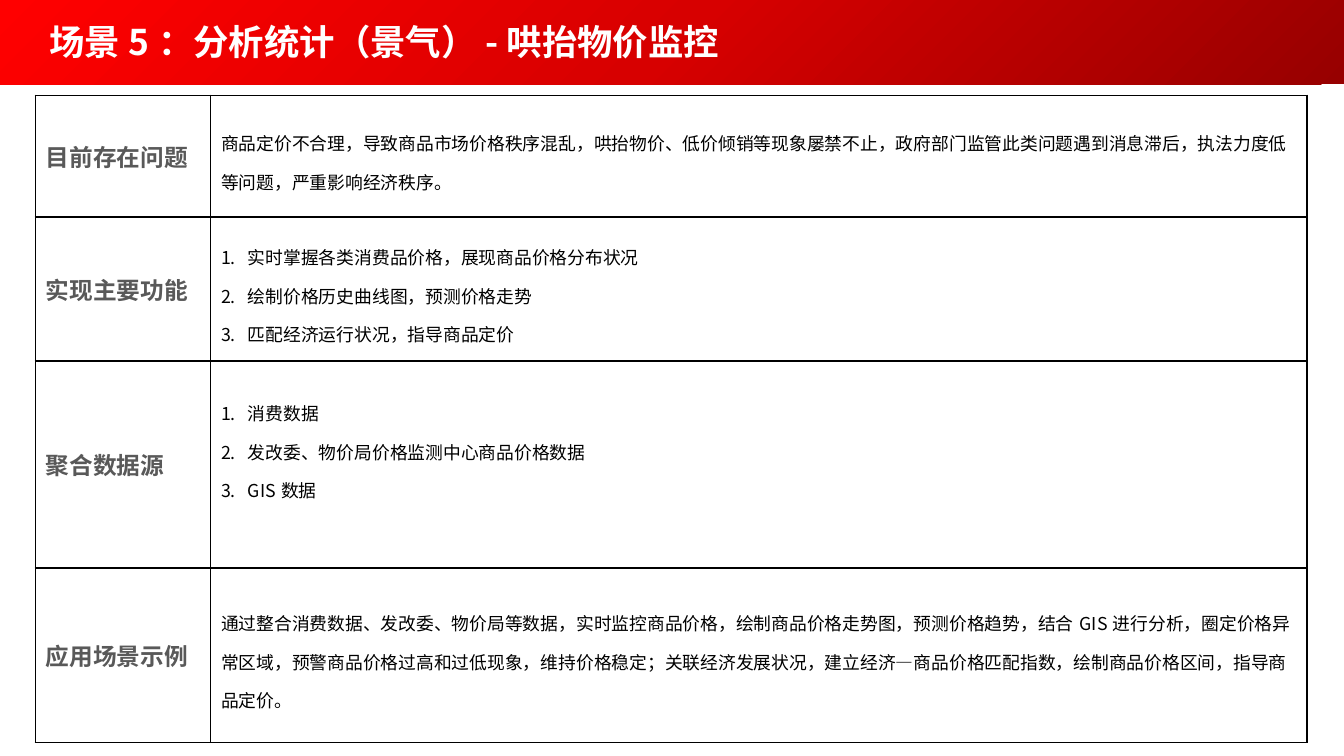
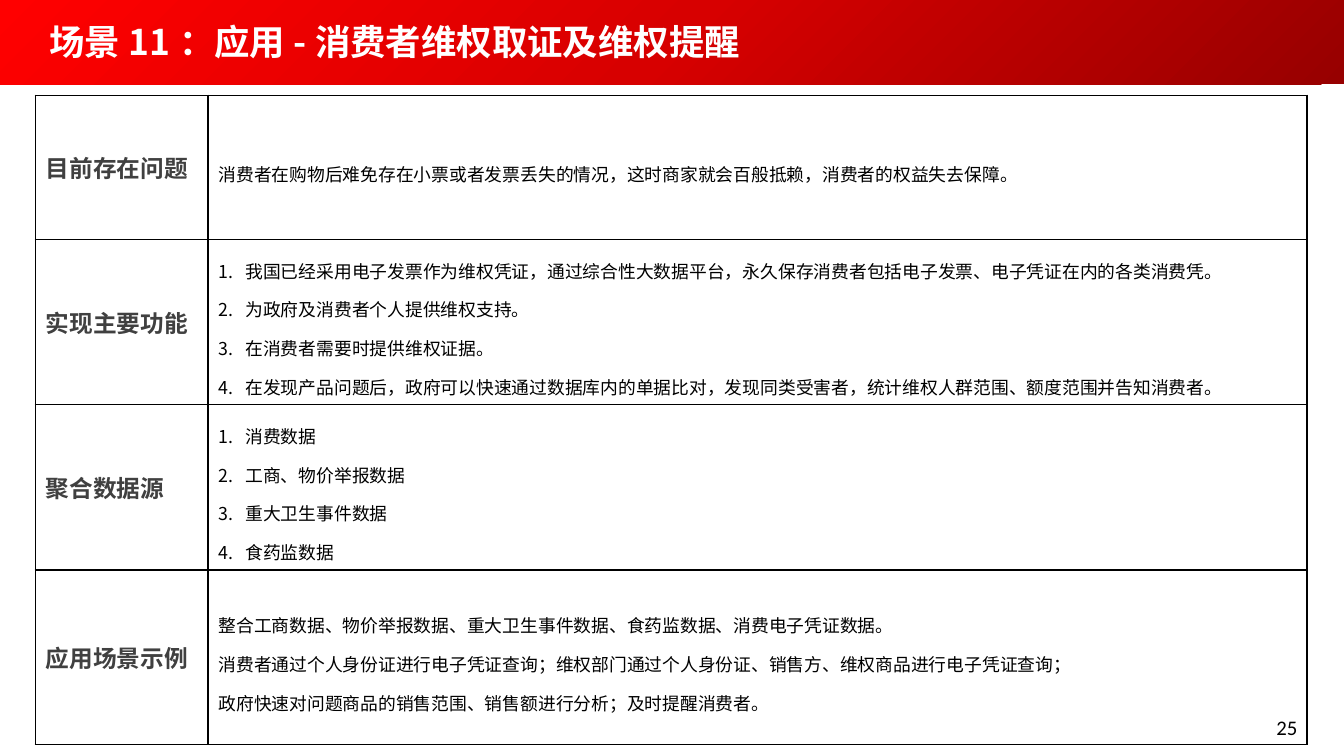
import copy

import pptx
import pptx.dml.color
import pptx.enum.shapes
import pptx.enum.text
import pptx.oxml
import pptx.oxml.ns
import pptx.util

Cm = pptx.util.Cm
Pt = pptx.util.Pt
qn = pptx.oxml.ns.qn
MIDDLE = pptx.enum.text.MSO_ANCHOR.MIDDLE

FONT = "Noto Sans CJK SC"
WHITE, BLACK = "FFFFFF", "000000"
BAND_STOPS = [(0, "970000"), (0.5, "D70000"), (1, "FF0000")]
SLIDE_WIDTH, SLIDE_HEIGHT = 32, 18.01
BAND_BOX = (0, 0, SLIDE_WIDTH, 2.01)
TABLE_BOX = (0.84, 2.27, 30.28)
NUMBER_BOX = (23.67, 16.84, 7.47, 0.97)
ROW_LABELS = ["目前存在问题", "实现主要功能", "聚合数据源", "应用场景示例"]

SCENES = [
    {
        "title": "场景5：分析统计（景气）-哄抬物价监控",
        "label_color": "595959",
        "label_width": 4.17,
        "row_heights": [2.9, 3.43, 4.93, 4.15],
        "source_lift": 0.93,
        "contents": [
            ["商品定价不合理，导致商品市场价格秩序混乱，哄抬物价、低价倾销等现象屡禁不止，政府部门监管此类问题遇到消息滞后，执法力度低等问题，严重影响经济秩序。"],
            ["实时掌握各类消费品价格，展现商品价格分布状况",
             "绘制价格历史曲线图，预测价格走势",
             "匹配经济运行状况，指导商品定价"],
            ["消费数据", "发改委、物价局价格监测中心商品价格数据", "GIS数据"],
            ["通过整合消费数据、发改委、物价局等数据，实时监控商品价格，绘制商品价格走势图，预测价格趋势，结合GIS进行分析，圈定价格异常区域，预警商品价格过高和过低现象，维持价格稳定；关联经济发展状况，建立经济—商品价格匹配指数，绘制商品价格区间，指导商品定价。"],
        ],
    },
    {
        "title": "场景11：应用-消费者维权取证及维权提醒",
        "label_color": "404040",
        "label_width": 4.11,
        "row_heights": [3.43, 3.94, 3.94, 4.16],
        "source_lift": 0,
        "page_number": "25",
        "contents": [
            ["消费者在购物后难免存在小票或者发票丢失的情况，这时商家就会百般抵赖，消费者的权益失去保障。"],
            ["我国已经采用电子发票作为维权凭证，通过综合性大数据平台，永久保存消费者包括电子发票、电子凭证在内的各类消费凭。",
             "为政府及消费者个人提供维权支持。",
             "在消费者需要时提供维权证据。",
             "在发现产品问题后，政府可以快速通过数据库内的单据比对，发现同类受害者，统计维权人群范围、额度范围并告知消费者。"],
            ["消费数据", "工商、物价举报数据", "重大卫生事件数据", "食药监数据"],
            ["整合工商数据、物价举报数据、重大卫生事件数据、食药监数据、消费电子凭证数据。",
             "消费者通过个人身份证进行电子凭证查询；维权部门通过个人身份证、销售方、维权商品进行电子凭证查询；",
             "政府快速对问题商品的销售范围、销售额进行分析；及时提醒消费者。"],
        ],
    },
]


def rgb(color):
    """Turn a hex string into a colour."""
    return pptx.dml.color.RGBColor.from_string(color)


def xml(markup):
    """Parse one drawing element written without its namespace."""
    namespace = pptx.oxml.ns.nsdecls("a")
    tag, rest = markup.split(" ", 1)
    return pptx.oxml.parse_xml(f"{tag} {namespace} {rest}")


def style(paragraph, size, color, bold=False, font=FONT):
    """Give all text of a paragraph one font, Latin and East Asian alike."""
    paragraph.font.size = Pt(size)
    paragraph.font.bold = bold
    paragraph.font.color.rgb = rgb(color)
    paragraph.font.name = font
    defaults = paragraph._p.pPr.find(qn("a:defRPr"))
    defaults.append(xml(f'<a:ea typeface="{font}"/>'))


def number(paragraph):
    """Make a paragraph an item of a numbered list with a hanging indent."""
    properties = paragraph._p.get_or_add_pPr()
    properties.set("marL", str(Cm(0.64)))
    properties.set("indent", str(-Cm(0.64)))
    properties.append(xml('<a:buAutoNum type="arabicPeriod"/>'))


def add_line(slide, box, text, size, color, bold=False, font=FONT, inset=0.25):
    """Place a single line of text, centred vertically in its box."""
    frame = slide.shapes.add_textbox(*map(Cm, box)).text_frame
    frame.word_wrap = True
    frame.vertical_anchor = MIDDLE
    frame.margin_left = frame.margin_right = Cm(inset)
    paragraph = frame.paragraphs[0]
    paragraph.text = text
    style(paragraph, size, color, bold, font)
    return paragraph


def add_title_band(slide, box, title):
    """Draw the red band and set the title inside it."""
    left, top, width, height = box
    band = slide.shapes.add_shape(pptx.enum.shapes.MSO_SHAPE.RECTANGLE, *map(Cm, box))
    band.shadow.inherit = False
    band.line.fill.background()
    band.fill.gradient()
    band.fill.gradient_angle = 135
    stops = band._element.spPr.find(".//" + qn("a:gsLst"))
    stops.append(copy.deepcopy(stops[0]))
    for stop, (position, color) in zip(band.fill.gradient_stops, BAND_STOPS):
        stop.position = position
        stop.color.rgb = rgb(color)
    title_box = (left + 0.89, top + 0.18, width - 1.75, height - 0.38)
    add_line(slide, title_box, title, 23.9, WHITE, bold=True, inset=0.29)


def frame_cell(cell):
    """Clear a cell's fill, centre its text vertically and rule its four sides."""
    cell.vertical_anchor = MIDDLE
    cell.fill.background()
    properties = cell._tc.get_or_add_tcPr()
    for index, side in enumerate("LRTB"):
        properties.insert(index, xml(
            f'<a:ln{side} w="{Pt(1)}"><a:solidFill><a:srgbClr val="{BLACK}"/>'
            f'</a:solidFill></a:ln{side}>'))


def fill_content(cell, lines, numbered):
    """Write the lines of a content cell, numbered if asked."""
    cell.text = "\n".join(lines)
    for paragraph in cell.text_frame.paragraphs:
        paragraph.line_spacing = 1.5
        if numbered:
            number(paragraph)
        style(paragraph, 12, BLACK)


def add_scene_table(slide, box, scene):
    """Build the table of labels and contents for one scene."""
    left, top, width = box
    heights = scene["row_heights"]
    table = slide.shapes.add_table(
        len(heights), 2, Cm(left), Cm(top), Cm(width), Cm(sum(heights))).table
    table.first_row = table.horz_banding = False
    table.columns[0].width = Cm(scene["label_width"])
    table.columns[1].width = Cm(width - scene["label_width"])
    for row, (label, lines, height) in enumerate(zip(ROW_LABELS, scene["contents"], heights)):
        table.rows[row].height = Cm(height)
        label_cell, content_cell = table.cell(row, 0), table.cell(row, 1)
        label_cell.text = label
        style(label_cell.text_frame.paragraphs[0], 16, scene["label_color"], bold=True)
        fill_content(content_cell, lines, numbered=row in (1, 2))
        frame_cell(label_cell)
        frame_cell(content_cell)
    table.cell(2, 1).margin_bottom = Cm(0.13 + scene["source_lift"])


def add_scene(deck, scene):
    """Add the slide of one scene."""
    slide = deck.slides.add_slide(deck.slide_layouts[6])
    add_title_band(slide, BAND_BOX, scene["title"])
    add_scene_table(slide, TABLE_BOX, scene)
    if "page_number" in scene:
        page = add_line(slide, NUMBER_BOX, scene["page_number"], 14, BLACK, font="Calibri")
        page.alignment = pptx.enum.text.PP_ALIGN.RIGHT


def main():
    """Build and save the deck."""
    deck = pptx.Presentation()
    deck.slide_width, deck.slide_height = Cm(SLIDE_WIDTH), Cm(SLIDE_HEIGHT)
    for scene in SCENES:
        add_scene(deck, scene)
    deck.save("out.pptx")


if __name__ == "__main__":
    main()
